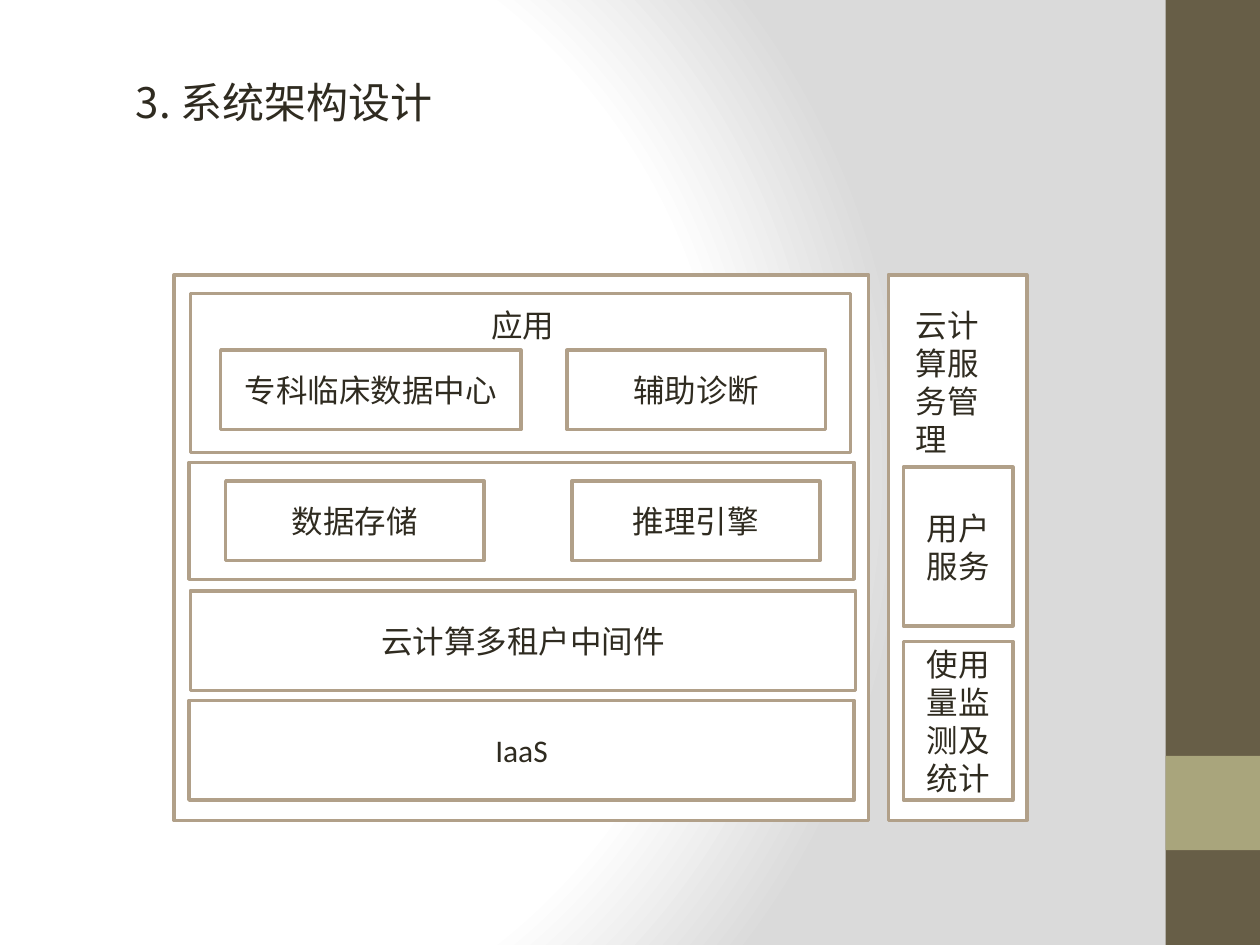
"""Build the system architecture slide."""
from typing import NamedTuple

from pptx import Presentation
from pptx import util as u
from pptx.dml.color import RGBColor
from pptx.enum import shapes, text
from pptx.oxml import parse_xml
from pptx.oxml.ns import qn

INK = RGBColor(0x2F, 0x2B, 0x20)
WHITE = RGBColor(0xFF, 0xFF, 0xFF)
MIST = RGBColor(0xDA, 0xDA, 0xDA)
TAN = RGBColor(0xB1, 0xA0, 0x89)
OLIVE = RGBColor(0x67, 0x5E, 0x47)
SAGE = RGBColor(0xA9, 0xA5, 0x7C)

SLIDE_WIDTH, SLIDE_HEIGHT = 25.4, 19.05
BAND_LEFT, BAND_WIDTH = 23.5, 1.9
FRAME_TOP, FRAME_HEIGHT = 5.54, 11
LAYER_WIDTH, LAYER_HEIGHT = 13.41, 2.01
SERVICE_LEFT, SERVICE_WIDTH, SERVICE_HEIGHT = 18.21, 2.21, 3.2
APP_ROW, PLATFORM_ROW, MODULE_HEIGHT = 7.06, 9.7, 1.6


class Block(NamedTuple):
    left: float
    top: float
    width: float
    height: float
    label: str = ""


class Caption(NamedTuple):
    left: float
    top: float
    width: float
    height: float
    label: str
    size: int = 18
    font: str = "Calibri"


BLOCKS = [
    Block(3.51, FRAME_TOP, 14, FRAME_HEIGHT),
    Block(17.91, FRAME_TOP, 2.79, FRAME_HEIGHT),
    Block(3.81, 14.12, LAYER_WIDTH, LAYER_HEIGHT, "IaaS"),
    Block(SERVICE_LEFT, 12.93, SERVICE_WIDTH, SERVICE_HEIGHT, "使用量监测及统计"),
    Block(SERVICE_LEFT, 9.42, SERVICE_WIDTH, SERVICE_HEIGHT, "用户服务"),
    Block(3.84, 11.91, LAYER_WIDTH, LAYER_HEIGHT, "云计算多租户中间件"),
    Block(3.81, 9.32, LAYER_WIDTH, 2.36),
    Block(4.55, PLATFORM_ROW, 5.21, MODULE_HEIGHT, "数据存储"),
    Block(11.53, PLATFORM_ROW, 5, MODULE_HEIGHT, "推理引擎"),
    Block(3.84, 5.92, 13.31, 3.2),
    Block(4.45, APP_ROW, 6.05, MODULE_HEIGHT, "专科临床数据中心"),
    Block(11.43, APP_ROW, 5.21, MODULE_HEIGHT, "辅助诊断"),
]
CAPTIONS = [
    Caption(2.49, 1.42, 9.19, 1.27, "3. 系统架构设计", 24, "Noto Sans CJK SC"),
    Caption(9.65, 6.05, 2.46, 1.02, "应用"),
    Caption(SERVICE_LEFT, 6.05, SERVICE_WIDTH, 3.33, "云计算服务管理"),
]


def paint_background(page) -> None:
    """Fill the page with a radial gradient from white to grey."""
    page.background.fill.solid()
    solid = next(page.element.iter(qn("p:bgPr"))).find(qn("a:solidFill"))
    stops = "".join(
        f'<a:gs pos="{position * 1000}"><a:srgbClr val="{color}"/></a:gs>'
        for position, color in ((0, WHITE), (75, WHITE), (100, MIST))
    )
    gradient = parse_xml(
        '<a:gradFill xmlns:a="http://schemas.openxmlformats.org/drawingml/2006/main"'
        f' rotWithShape="1"><a:gsLst>{stops}</a:gsLst><a:path path="circle">'
        '<a:fillToRect l="20000" t="50000" r="100000" b="50000"/></a:path></a:gradFill>'
    )
    solid.getparent().replace(solid, gradient)


def write(para, label: str, size: int, font: str) -> None:
    """Add one styled run to a paragraph."""
    span = para.add_run()
    span.text = label
    span.font.size = u.Pt(size)
    span.font.name = font
    span.font.color.rgb = INK


def draw_rectangle(page, block: Block, fill: RGBColor):
    """Draw a plain rectangle without an outline."""
    box = page.shapes.add_shape(shapes.MSO_SHAPE.RECTANGLE, *map(u.Cm, block[:4]))
    box.shadow.inherit = False
    box.fill.solid()
    box.fill.fore_color.rgb = fill
    box.line.fill.background()
    return box


def draw_block(page, block: Block) -> None:
    """Draw an outlined architecture block with its centred label."""
    box = draw_rectangle(page, block, WHITE)
    box.line.color.rgb = TAN
    box.line.width = u.Pt(2)
    if block.label:
        frame = box.text_frame
        frame.word_wrap = True
        frame.vertical_anchor = text.MSO_ANCHOR.MIDDLE
        para = frame.paragraphs[0]
        para.alignment = text.PP_ALIGN.CENTER
        write(para, block.label, 18, "Calibri")


def draw_caption(page, caption: Caption) -> None:
    """Draw a wrapped text box that grows with its text."""
    frame = page.shapes.add_textbox(*map(u.Cm, caption[:4])).text_frame
    frame.word_wrap = True
    frame.auto_size = text.MSO_AUTO_SIZE.SHAPE_TO_FIT_TEXT
    write(frame.paragraphs[0], caption.label, caption.size, caption.font)


def main() -> None:
    """Assemble and save the deck."""
    deck = Presentation()
    deck.slide_width, deck.slide_height = u.Cm(SLIDE_WIDTH), u.Cm(SLIDE_HEIGHT)
    page = deck.slides.add_slide(deck.slide_layouts[6])
    paint_background(page)
    draw_rectangle(page, Block(BAND_LEFT, 0, BAND_WIDTH, SLIDE_HEIGHT), OLIVE)
    draw_rectangle(page, Block(BAND_LEFT, 15.24, BAND_WIDTH, BAND_WIDTH), SAGE)
    for block in BLOCKS:
        draw_block(page, block)
    for caption in CAPTIONS:
        draw_caption(page, caption)
    deck.save("out.pptx")


if __name__ == "__main__":
    main()
